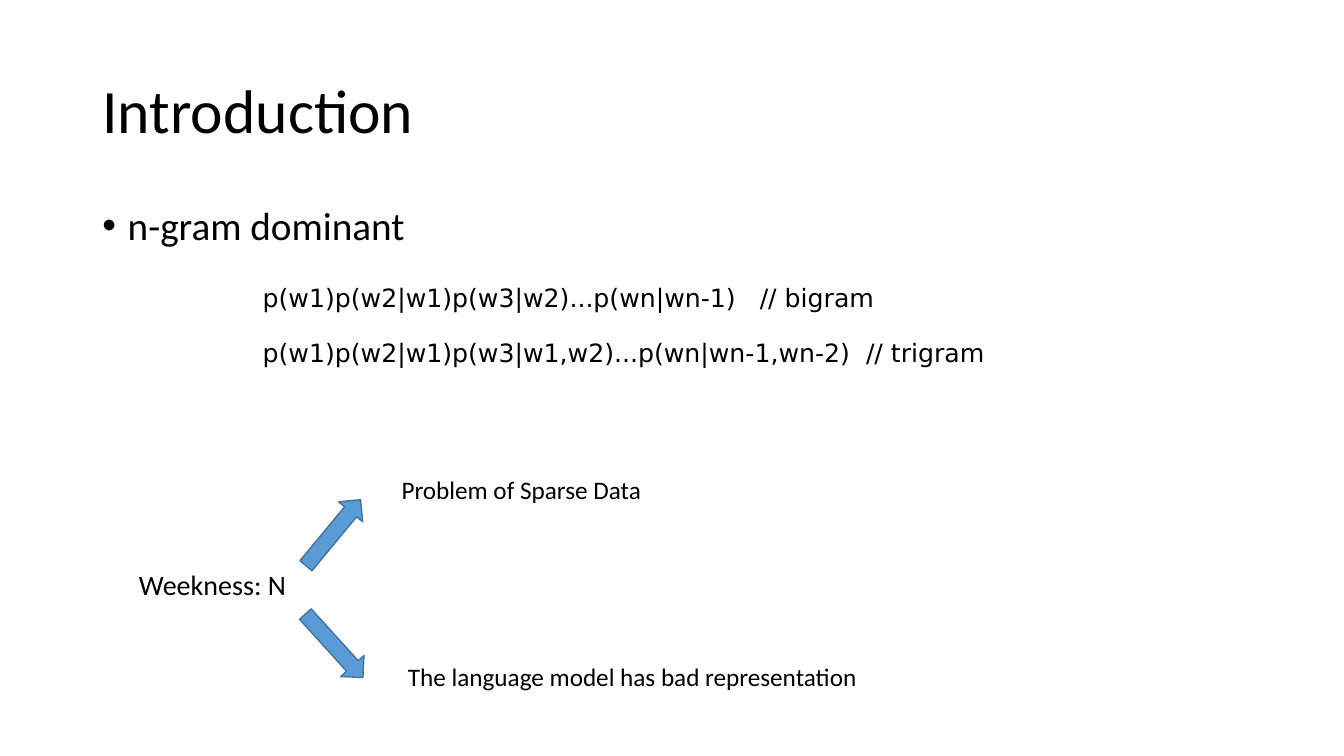
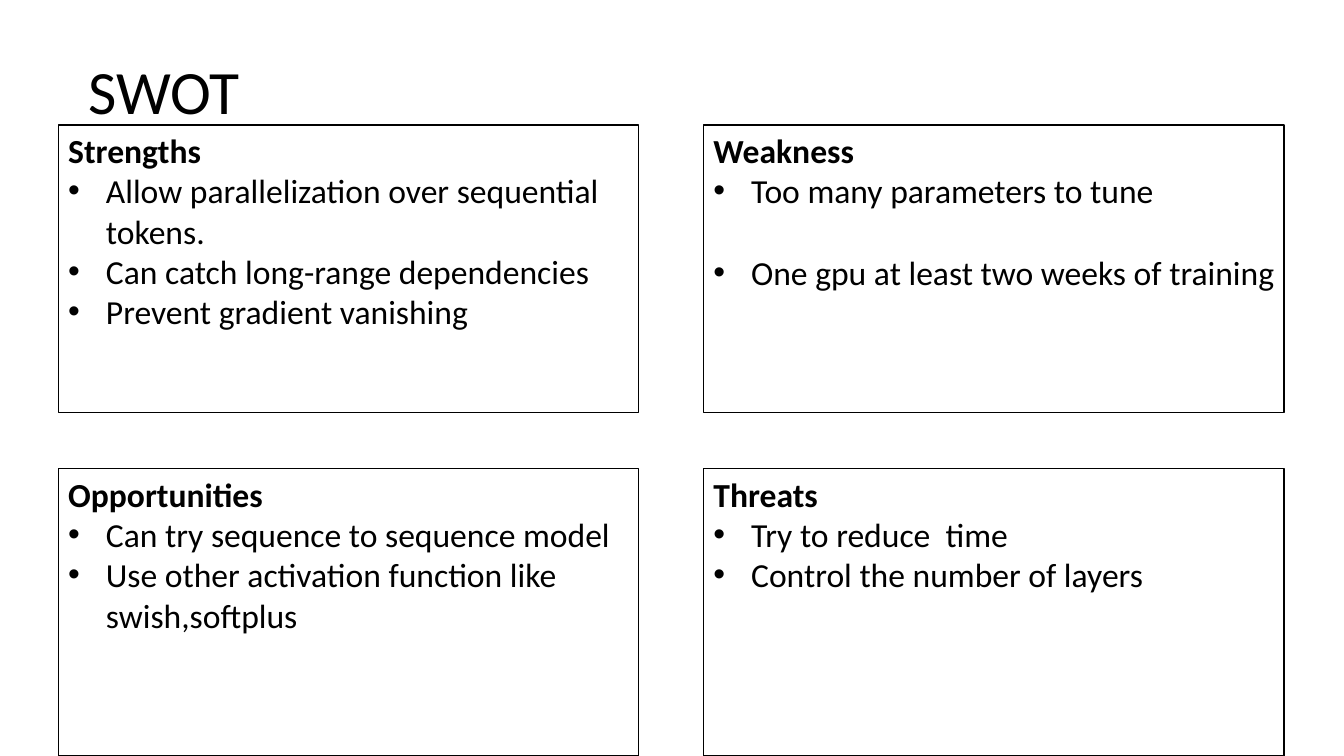
from lxml.etree import SubElement
from pptx import Presentation
from pptx.dml.color import RGBColor
from pptx.enum.shapes import MSO_SHAPE
from pptx.enum.text import MSO_ANCHOR, MSO_AUTO_SIZE, PP_ALIGN
from pptx.oxml.ns import qn
from pptx.util import Cm, Pt

BLACK = RGBColor(0x00, 0x00, 0x00)
WHITE = RGBColor(0xFF, 0xFF, 0xFF)
ARROW_BLUE = RGBColor(0x5B, 0x9B, 0xD5)
ARROW_EDGE = RGBColor(0x43, 0x73, 0x9E)
BODY_FONT = "Calibri"
FORMULA_FONT = "DejaVu Sans"

# Heading and points of each card, row by row; a point may carry a gap above it.
SWOT_CARDS = [
    ("Strengths", [("Allow parallelization over sequential tokens.", 0),
                   ("Can catch long-range dependencies", 0),
                   ("Prevent gradient vanishing", 0)]),
    ("Weakness", [("Too many parameters to tune", 0),
                  ("One gpu at least two weeks of training", 29.3)]),
    ("Opportunities", [("Can try sequence to sequence model", 0),
                       ("Use other activation function like swish,softplus", 0)]),
    ("Threats", [("Try to reduce  time", 0),
                 ("Control the number of layers", 0)]),
]


def write(frame, text, *, size=18, font=BODY_FONT, bold=False,
          bullet_indent=None, gap=0, line_spacing=1.0):
    """Fill the frame's empty first paragraph, or append another one."""
    paragraph = frame.paragraphs[0]
    if paragraph.runs:
        paragraph = frame.add_paragraph()
    paragraph.alignment = PP_ALIGN.LEFT
    paragraph.space_before = Pt(gap)
    paragraph.line_spacing = line_spacing
    if bullet_indent is not None:
        properties = paragraph._p.get_or_add_pPr()
        properties.set("marL", str(bullet_indent))
        properties.set("indent", str(-bullet_indent))
        SubElement(properties, qn("a:buFont"), typeface="Arial")
        SubElement(properties, qn("a:buChar"), char="•")
    run = paragraph.add_run()
    run.text = text
    run.font.size = Pt(size)
    run.font.name = font
    run.font.bold = bold
    run.font.color.rgb = BLACK


def add_titled_slide(deck, text, left, top):
    slide = deck.slides.add_slide(deck.slide_layouts.get_by_name("Title Only"))
    title = slide.shapes.title
    title.left, title.top = Cm(left), Cm(top)
    title.width, title.height = Cm(29.21), Cm(3.68)
    frame = title.text_frame
    frame.auto_size = MSO_AUTO_SIZE.NONE
    frame.vertical_anchor = MSO_ANCHOR.MIDDLE
    write(frame, text, size=44, line_spacing=0.9)
    return slide


def add_text(slide, text, left, top, width, height=1.02, **text_format):
    box = slide.shapes.add_textbox(Cm(left), Cm(top), Cm(width), Cm(height))
    box.text_frame.word_wrap = True
    write(box.text_frame, text, **text_format)


def add_filled_shape(slide, kind, left, top, width, height, fill, edge):
    shape = slide.shapes.add_shape(kind, Cm(left), Cm(top), Cm(width), Cm(height))
    shape.shadow.inherit = False
    shape.fill.solid()
    shape.fill.fore_color.rgb = fill
    shape.line.color.rgb = edge
    shape.line.width = Pt(1)
    return shape


def add_arrow(slide, left, top, rotation):
    arrow = add_filled_shape(slide, MSO_SHAPE.RIGHT_ARROW, left, top, 2.16, 0.79,
                             ARROW_BLUE, ARROW_EDGE)
    arrow.rotation = rotation


def add_card(slide, left, top, width, height, heading, points):
    card = add_filled_shape(slide, MSO_SHAPE.RECTANGLE, left, top, width, height,
                            WHITE, BLACK)
    frame = card.text_frame
    frame.word_wrap = True
    frame.vertical_anchor = MSO_ANCHOR.TOP
    frame.margin_right = Cm(0.1)
    write(frame, heading, size=24, bold=True)
    for point, gap in points:
        write(frame, point, size=24, bullet_indent=Cm(0.95), gap=gap)


def build_introduction(deck):
    slide = add_titled_slide(deck, "Introduction", 2.33, 1.01)
    add_text(slide, "n-gram dominant", 2.33, 5.08, 29.21, 1.5,
             size=28, bullet_indent=Cm(0.64), line_spacing=0.9)

    formulas = ["p(w1)p(w2|w1)p(w3|w2)...p(wn|wn-1)   // bigram",
                "p(w1)p(w2|w1)p(w3|w1,w2)...p(wn|wn-1,wn-2)  // trigram"]
    for row, formula in enumerate(formulas):
        add_text(slide, formula, 6.37, 6.98 + 1.4 * row, 21.64, font=FORMULA_FONT)

    add_text(slide, "Weekness: N", 3.25, 14.18, 5, size=20)
    add_arrow(slide, 7.32, 13.03, 309.6)
    add_arrow(slide, 7.34, 15.88, 47.8)
    add_text(slide, "Problem of Sparse Data", 9.87, 11.84, 15.54)
    add_text(slide, "The language model has bad representation", 10.03, 16.54, 15.54)


def build_swot(deck):
    slide = add_titled_slide(deck, "SWOT", 1.98, 0.53)
    left, top, width, height = 1.47, 3.15, 14.63, 7.24
    column_gap, row_gap = 1.63, 1.42
    for index, (heading, points) in enumerate(SWOT_CARDS):
        row, column = divmod(index, 2)
        add_card(slide, left + column * (width + column_gap),
                 top + row * (height + row_gap), width, height, heading, points)


def main():
    deck = Presentation()
    deck.slide_width, deck.slide_height = Cm(33.87), Cm(19.05)
    build_introduction(deck)
    build_swot(deck)
    deck.save("out.pptx")


if __name__ == "__main__":
    main()
